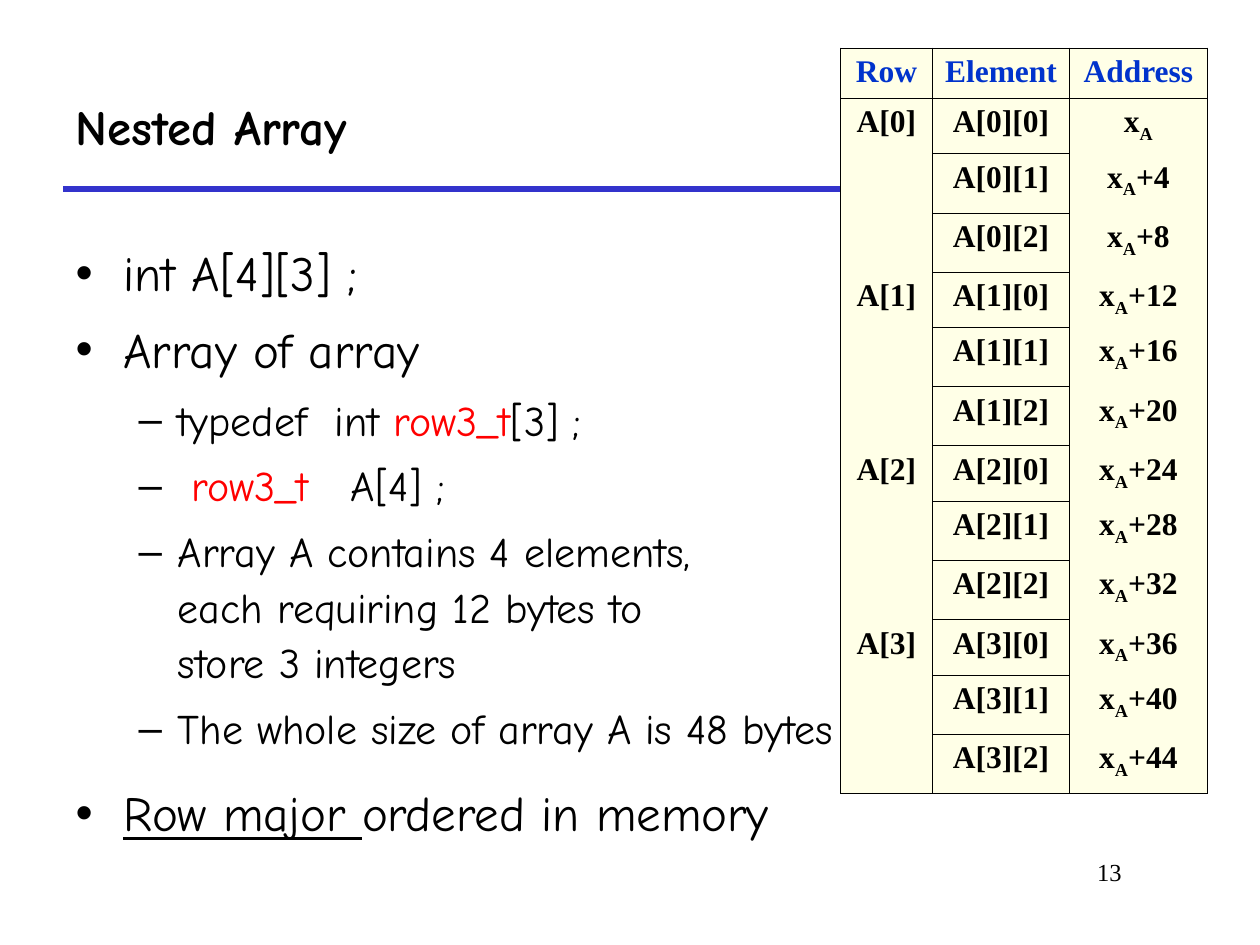
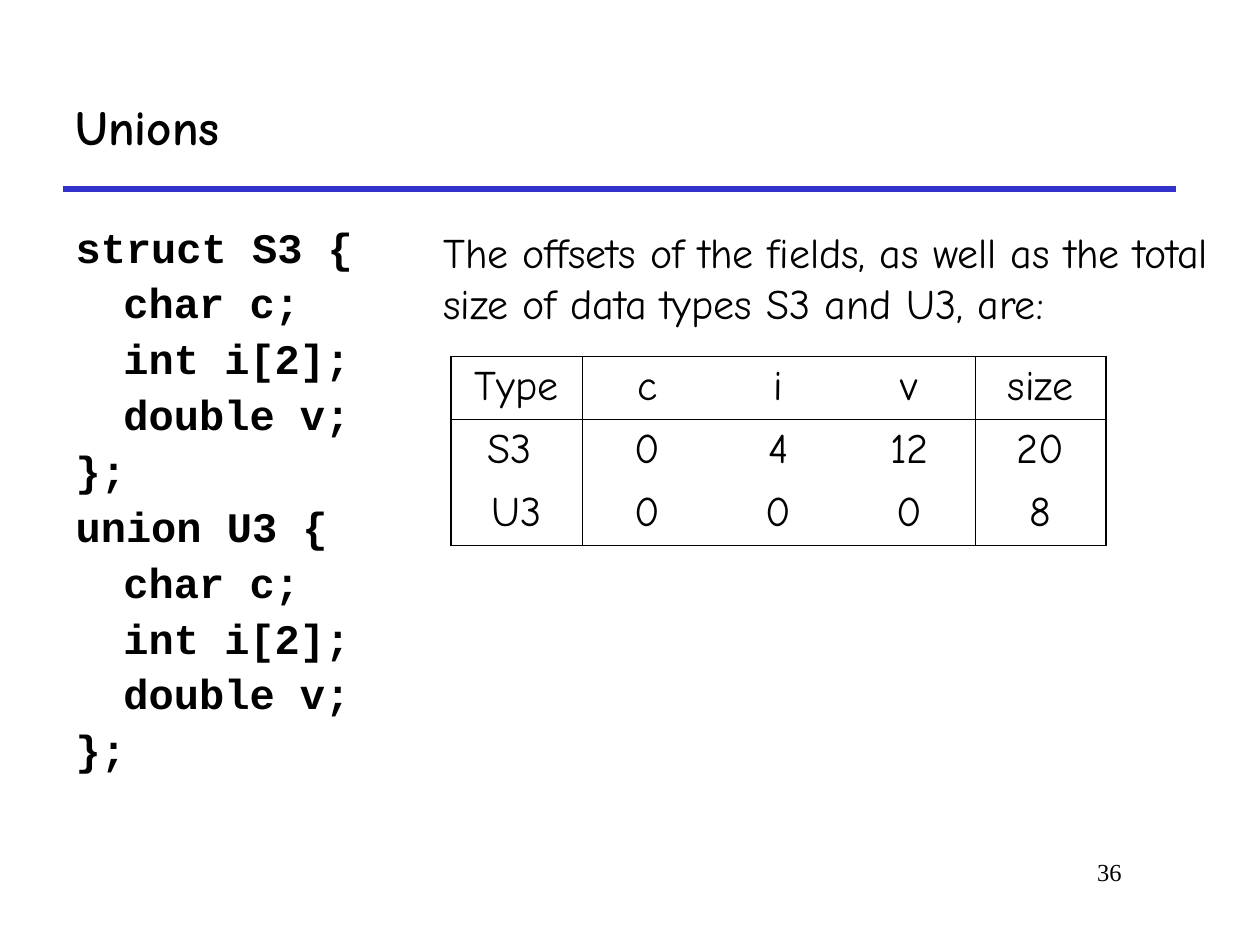
from lxml import etree
from pptx import Presentation
from pptx.dml.color import RGBColor
from pptx.enum.shapes import MSO_CONNECTOR
from pptx.enum.text import MSO_ANCHOR, MSO_AUTO_SIZE, PP_ALIGN
from pptx.oxml.ns import qn
from pptx.util import Inches, Pt

LEFT, CENTER, RIGHT = PP_ALIGN.LEFT, PP_ALIGN.CENTER, PP_ALIGN.RIGHT
TOP, MIDDLE = MSO_ANCHOR.TOP, MSO_ANCHOR.MIDDLE
NO_FIT = MSO_AUTO_SIZE.NONE
STRAIGHT = MSO_CONNECTOR.STRAIGHT

BLACK, RED, BLUE, RULE_BLUE, CREAM = "000000", "FF0000", "0033CC", "3333CC", "FFFFE7"
HAND, CODE, SERIF = "Comic Neue", "Courier New", "Times New Roman"
THIN, THICK = 0.45, 1.08
NO_STYLE = "{2D5ABB26-0587-4C30-8999-92F81FD0307C}"

TITLE_BOX = (0.5, 0.5, 8.83, 1)
NUMBER_BOX = (7.58, 6.75, 1.42, 0.5)

TITLE = dict(name=HAND, size=Pt(28), bold=True)
NUMBER = dict(name=SERIF, size=Pt(14))
LIST = dict(name=HAND, size=Pt(28))
TEXT = dict(name=HAND, size=Pt(24))
LISTING = dict(name=CODE, size=Pt(24), bold=True)
ADDRESS = dict(name=SERIF, size=Pt(18), bold=True)

NESTED_ARRAY = [
    (0, 1.1, ["int A[4][3] ;"]),
    (0, 1.1, ["Array of array"]),
    (1, 1.1, ["typedef  int ", ("row3_t", dict(color=RED)), "[3] ;"]),
    (1, 1.1, [" ", ("row3_t", dict(color=RED)), "   A[4] ;"]),
    (1, 1.1, ["Array A contains 4 elements, \neach requiring 12 bytes to \nstore 3 integers"]),
    (1, 1.1, ["The whole size of array A is 48 bytes"]),
    (0, 1.3, [("Row major ", dict(underline=True)), "ordered in memory"]),
]
FIELDS = ["\tchar c;", "\tint i[2];", "\tdouble v;", "};"]
OFFSETS = [
    ["Type", "c", "i", "v", "size"],
    ["S3 ", "0", "4", "12", "20"],
    ["U3", "0", "0", "0", "8"],
]


def rgb(color):
    return RGBColor.from_string(color)


def inches(box):
    return [Inches(v) for v in box]


def set_attrs(obj, values):
    for name, value in values.items():
        setattr(obj, name, value)


def add_runs(p, runs, base):
    for item in runs:
        text, extra = (item, {}) if isinstance(item, str) else item
        fmt = {"color": BLACK, **base, **extra}
        color, baseline = fmt.pop("color"), fmt.pop("baseline", None)
        for i, line in enumerate(text.split("\n")):
            if i:
                p.add_line_break()
            r = p.add_run()
            r.text = line
            set_attrs(r.font, fmt)
            r.font.color.rgb = rgb(color)
            if baseline:
                r._r.get_or_add_rPr().set("baseline", str(baseline))


def set_indent(p, left, hanging, bullet=None):
    pPr = p._p.get_or_add_pPr()
    pPr.set("marL", str(Inches(left)))
    pPr.set("indent", str(-Inches(hanging)))
    if bullet:
        color = etree.SubElement(pPr, qn("a:buClr"))
        etree.SubElement(color, qn("a:srgbClr"), val=BLACK)
        etree.SubElement(pPr, qn("a:buChar"), char=bullet)
    else:
        etree.SubElement(pPr, qn("a:buNone"))


def place(sp, box, anchor):
    set_attrs(sp, dict(zip(("left", "top", "width", "height"), inches(box))))
    tf = sp.text_frame
    set_attrs(tf, dict(word_wrap=True, auto_size=NO_FIT, vertical_anchor=anchor))
    return tf


def next_paragraph(tf, i):
    return tf.add_paragraph() if i else tf.paragraphs[0]


def add_text(s, box, text, fmt, **para):
    tf = place(s.shapes.add_textbox(*inches(box)), box, TOP)
    p = tf.paragraphs[0]
    set_attrs(p, para)
    add_runs(p, [text], fmt)


def add_frame(prs, title, number):
    s = prs.slides.add_slide(prs.slide_layouts[1])
    p = place(s.shapes.title, TITLE_BOX, MIDDLE).paragraphs[0]
    p.alignment = LEFT
    add_runs(p, [title], TITLE)
    left, top, width, height = TITLE_BOX
    y = top + height
    rule = s.shapes.add_connector(STRAIGHT, *inches((left, y, left + width, y)))
    rule.line.color.rgb = rgb(RULE_BLUE)
    rule.line.width = Pt(3)
    etree.SubElement(rule._element.spPr, qn("a:effectLst"))
    add_text(s, NUMBER_BOX, number, NUMBER, alignment=RIGHT)
    return s


def fill_list(s, box, items):
    tf = place(s.placeholders[1], box, TOP)
    for i, (level, spacing, runs) in enumerate(items):
        p = next_paragraph(tf, i)
        set_attrs(p, dict(level=level, line_spacing=spacing, space_before=Pt(6 if level else 7)))
        set_indent(p, *((0.81, 0.31, "–") if level else (0.38, 0.38, "•")))
        add_runs(p, runs, TEXT if level else LIST)


def fill_listing(s, box, lines):
    tf = place(s.placeholders[1], box, TOP)
    for i, line in enumerate(lines):
        p = next_paragraph(tf, i)
        set_attrs(p, dict(line_spacing=0.9, space_before=Pt(6)))
        set_indent(p, 0.38, 0.38)
        add_runs(p, [line], LISTING)


def set_borders(cell, widths):
    tcPr = cell._tc.get_or_add_tcPr()
    for i, (side, width) in enumerate(zip("LRTB", widths)):
        ln = etree.Element(qn("a:ln" + side))
        if width:
            ln.set("w", str(Pt(width)))
            fill = etree.SubElement(ln, qn("a:solidFill"))
            etree.SubElement(fill, qn("a:srgbClr"), val=BLACK)
        else:
            etree.SubElement(ln, qn("a:noFill"))
        tcPr.insert(i, ln)


def add_grid(s, left, top, widths, heights, rows, fmt, verticals, horizontals,
             fill=None, margin=0.1, before=0):
    box = (left, top, sum(widths), sum(heights))
    table = s.shapes.add_table(len(heights), len(widths), *inches(box)).table
    set_attrs(table, dict(first_row=False, horz_banding=False))
    table._tbl.tblPr.find(qn("a:tableStyleId")).text = NO_STYLE
    for col, width in zip(table.columns, widths):
        col.width = Inches(width)
    for row, height in zip(table.rows, heights):
        row.height = Inches(height)
    for y, row in enumerate(rows):
        for x, runs in enumerate(row):
            cell = table.cell(y, x)
            set_attrs(cell, dict(margin_left=Inches(margin), margin_right=Inches(margin)))
            if fill:
                cell.fill.solid()
                cell.fill.fore_color.rgb = rgb(fill)
            else:
                cell.fill.background()
            p = cell.text_frame.paragraphs[0]
            set_attrs(p, dict(alignment=CENTER, space_before=Pt(before)))
            add_runs(p, runs, fmt)
            lines = horizontals[x]
            set_borders(cell, (verticals.get(x), verticals.get(x + 1),
                               lines.get(y), lines.get(y + 1)))


def add_address_table(s, left, top, outer=4, inner=3, int_size=4):
    rows = [[[(head, dict(color=BLUE))] for head in ("Row", "Element", "Address")]]
    heights = [0.4]
    for i in range(outer):
        for j in range(inner):
            offset = int_size * (i * inner + j)
            address = ["x", ("A", dict(baseline=-25000))]
            if offset:
                address.append(f"+{offset}")
            rows.append([[] if j else [f"A[{i}]"], [f"A[{i}][{j}]"], address])
            heights.append(0.47 if j else 0.44)
    count = len(rows)
    ends = dict.fromkeys((0, 1, count), THIN)
    every = dict.fromkeys(range(count + 1), THIN)
    add_grid(s, left, top, [0.73, 1.09, 1.09], heights, rows, ADDRESS,
             dict.fromkeys(range(4), THIN), [ends, every, ends], fill=CREAM, margin=0.05)


def add_offset_table(s, left, top):
    rows = [[[text] for text in row] for row in OFFSETS]
    add_grid(s, left, top, [1.04] * 5, [0.5] * 3, rows, TEXT,
             {0: THICK, 1: THIN, 4: THIN, 5: THICK},
             [{0: THICK, 1: THIN, 3: THICK}] * 5, before=6)


def nested_array_slide(prs):
    s = add_frame(prs, "Nested Array", "13")
    fill_list(s, (0.5, 1.83, 7, 4.83), NESTED_ARRAY)
    add_address_table(s, 6.67, 0.38)


def unions_slide(prs):
    s = add_frame(prs, "Unions", "36")
    fill_listing(s, (0.5, 1.75, 9.08, 4.83),
                 ["struct S3 {", *FIELDS, "union U3 {", *FIELDS])
    add_offset_table(s, 3.58, 2.83)
    add_text(s, (3.42, 1.75, 6.58, 0.9),
             "The offsets of the fields, as well as the total size of data types S3 and U3, are:",
             TEXT, space_before=Pt(6))


def main():
    prs = Presentation()
    prs.slide_width, prs.slide_height = Inches(10), Inches(7.5)
    nested_array_slide(prs)
    unions_slide(prs)
    prs.save("out.pptx")


if __name__ == "__main__":
    main()
